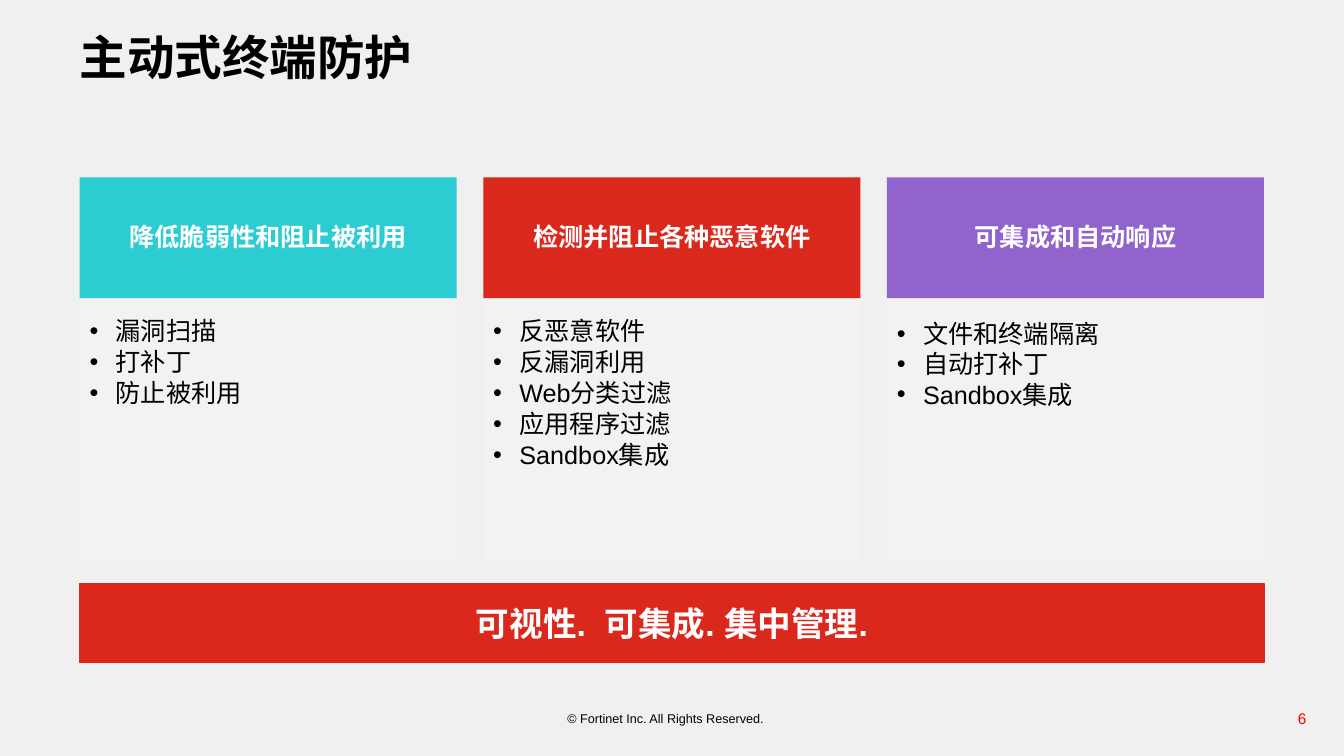
import pptx
import pptx.util
import pptx.dml.color
import pptx.enum.shapes
import pptx.enum.text
import lxml.etree
import pptx.oxml.ns

Pt = pptx.util.Pt
RGBColor = pptx.dml.color.RGBColor
PP_ALIGN = pptx.enum.text.PP_ALIGN
ANCHOR = pptx.enum.text.MSO_ANCHOR

BACKGROUND = RGBColor(0xF0, 0xF0, 0xF0)
PANEL = RGBColor(0xF2, 0xF2, 0xF2)
TEAL = RGBColor(0x2C, 0xCC, 0xD3)
RED = RGBColor(0xDA, 0x28, 0x1C)
PURPLE = RGBColor(0x90, 0x63, 0xCD)
BLACK = RGBColor(0, 0, 0)
WHITE = RGBColor(0xFF, 0xFF, 0xFF)
NUMBER_RED = RGBColor(0xFF, 0, 0)

TITLE = "主动式终端防护"
# heading, heading colour, items, line spacing, space after
COLUMNS = [
    ("降低脆弱性和阻止被利用", TEAL,
     ["漏洞扫描", "打补丁", "防止被利用"], 0.9, 2.7),
    ("检测并阻止各种恶意软件", RED,
     ["反恶意软件", "反漏洞利用", "Web分类过滤", "应用程序过滤", "Sandbox集成"], 0.9, 2.7),
    ("可集成和自动响应", PURPLE,
     ["文件和终端隔离", "自动打补丁", "Sandbox集成"], 1.0, 0),
]
SUMMARY = "可视性.  可集成. 集中管理."
COPYRIGHT = "© Fortinet Inc. All Rights Reserved."
PAGE_NUMBER = "6"

LEFT, TOTAL_WIDTH, COLUMN_WIDTH = 56.9, 846, 269.3
COLUMN_STEP = (TOTAL_WIDTH - COLUMN_WIDTH) / (len(COLUMNS) - 1)
HEAD_TOP, HEAD_HEIGHT, PANEL_HEIGHT = 126.7, 86.4, 186.5
BAR_TOP, BAR_HEIGHT = 417, 56.2
BULLET_INDENT = 18.7


def set_text(sp, lines, size, color, bold=False, align=PP_ALIGN.LEFT, anchor=ANCHOR.TOP,
             insets=(7.2, 3.6, 7.2, 3.6), spacing=1.0, after=0, bullets=False, wrap=True):
    tf = sp.text_frame
    tf.text = "\n".join(lines)
    tf.word_wrap = wrap
    tf.auto_size = pptx.enum.text.MSO_AUTO_SIZE.NONE
    tf.vertical_anchor = anchor
    tf.margin_left, tf.margin_top, tf.margin_right, tf.margin_bottom = map(Pt, insets)
    for p in tf.paragraphs:
        p.alignment = align
        p.line_spacing = spacing
        p.space_before = Pt(0)
        p.space_after = Pt(after)
        if bullets:
            add_bullet(p)
        for r in p.runs:
            r.font.name = "Arial"
            r.font.size = Pt(size)
            r.font.bold = bold
            r.font.color.rgb = color


def add_bullet(p):
    pPr = p._p.get_or_add_pPr()
    pPr.set("marL", str(Pt(BULLET_INDENT)))
    pPr.set("indent", str(-Pt(BULLET_INDENT)))
    font = lxml.etree.SubElement(pPr, pptx.oxml.ns.qn("a:buFont"))
    font.set("typeface", "Arial")
    char = lxml.etree.SubElement(pPr, pptx.oxml.ns.qn("a:buChar"))
    char.set("char", "•")


def add_block(slide, left, top, width, height, color):
    sp = slide.shapes.add_shape(pptx.enum.shapes.MSO_SHAPE.RECTANGLE,
                                Pt(left), Pt(top), Pt(width), Pt(height))
    sp.shadow.inherit = False
    sp.fill.solid()
    sp.fill.fore_color.rgb = color
    sp.line.fill.background()
    return sp


def add_label(slide, left, top, width, height, text, size, color, **style):
    sp = slide.shapes.add_textbox(Pt(left), Pt(top), Pt(width), Pt(height))
    set_text(sp, [text], size, color, **style)


def add_column(slide, left, heading, color, items, spacing, after):
    head = add_block(slide, left, HEAD_TOP, COLUMN_WIDTH, HEAD_HEIGHT, color)
    set_text(head, [heading], 18, WHITE, bold=True, align=PP_ALIGN.CENTER,
             anchor=ANCHOR.MIDDLE, insets=(10, 5.8, 10, 5.8), spacing=0.9, after=6)
    panel = add_block(slide, left, HEAD_TOP + HEAD_HEIGHT, COLUMN_WIDTH, PANEL_HEIGHT, PANEL)
    set_text(panel, items, 18, BLACK, insets=(7.2, 14.4, 10, 11.5),
             spacing=spacing, after=after, bullets=True)


def main():
    prs = pptx.Presentation()
    prs.slide_width, prs.slide_height = Pt(960), Pt(540)
    slide = prs.slides.add_slide(prs.slide_layouts.get_by_name("Title Only"))
    slide.background.fill.solid()
    slide.background.fill.fore_color.rgb = BACKGROUND

    title = slide.shapes.title
    title.left, title.top, title.width, title.height = Pt(49.7), Pt(14.4), Pt(853.2), Pt(56.9)
    set_text(title, [TITLE], 34, BLACK, bold=True, anchor=ANCHOR.MIDDLE, spacing=0.9)

    for i, column in enumerate(COLUMNS):
        add_column(slide, LEFT + i * COLUMN_STEP, *column)

    bar = add_block(slide, LEFT, BAR_TOP, TOTAL_WIDTH, BAR_HEIGHT, RED)
    bar.line.color.rgb = RED
    bar.line.width = Pt(0.75)
    set_text(bar, [SUMMARY], 24, WHITE, bold=True, align=PP_ALIGN.CENTER, anchor=ANCHOR.MIDDLE)

    add_label(slide, 398.2, 505.4, 156.2, 17.3, COPYRIGHT, 9, BLACK, spacing=0.9, wrap=False)
    add_label(slide, 910.8, 503.3, 29.5, 21.6, PAGE_NUMBER, 11, NUMBER_RED, align=PP_ALIGN.RIGHT)

    prs.save("out.pptx")


if __name__ == "__main__":
    main()
